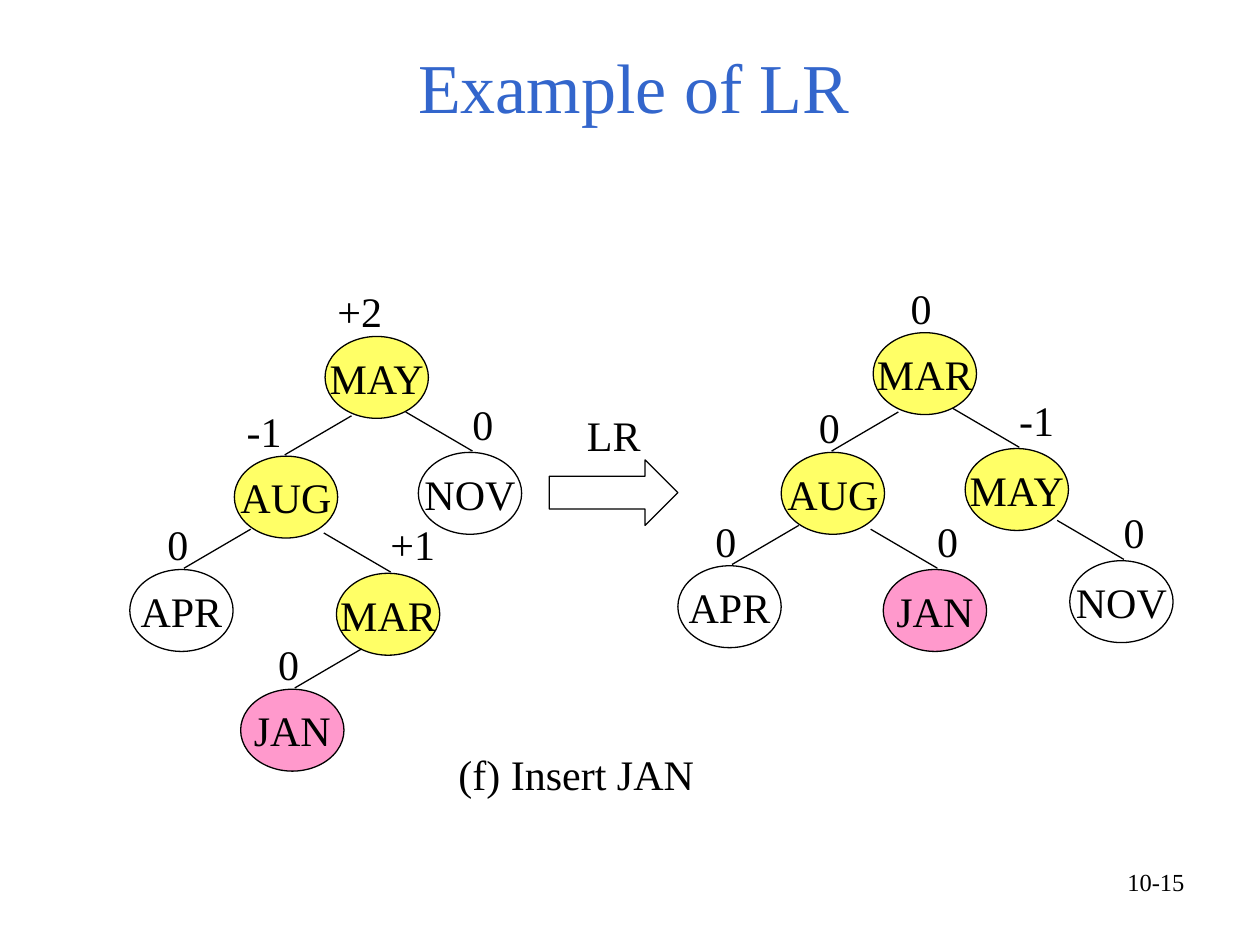
from lxml import etree
from pptx import Presentation
from pptx.dml.color import RGBColor
from pptx.enum.shapes import MSO_CONNECTOR, MSO_SHAPE
from pptx.enum.text import MSO_ANCHOR, PP_ALIGN
from pptx.oxml.ns import qn
from pptx.util import Inches, Pt

STRAIGHT = MSO_CONNECTOR.STRAIGHT
ELLIPSE, RIGHT_ARROW = MSO_SHAPE.OVAL, MSO_SHAPE.RIGHT_ARROW
LEFT, CENTER, RIGHT = PP_ALIGN.LEFT, PP_ALIGN.CENTER, PP_ALIGN.RIGHT
TOP, MIDDLE = MSO_ANCHOR.TOP, MSO_ANCHOR.MIDDLE

FONT = "Times New Roman"
BLACK, BLUE, YELLOW, PINK = "000000", "3366CC", "FFFF66", "FF99CC"
NODE_W, NODE_H = 0.82, 0.65
EDGE_W, EDGE_H = 0.53, 0.31
EDGE_GAP = 0.01
LABEL_H = 0.5

# Each node: name, balance factor, left, top, side of its parent, fill,
# and how far along the node its edge arrives.
TREE_BEFORE = [
    ("MAY", "+2", 1.55, 0.46, "root", YELLOW, 0),
    ("NOV", "0", 2.29, 1.38, "right", None, 0.43),
    ("AUG", "-1", 0.83, 1.41, "left", YELLOW, 0.4),
    ("APR", "0", 0, 2.31, "left", None, 0.43),
    ("MAR", "+1", 1.64, 2.34, "right", YELLOW, 0.43),
    ("JAN", "0", 0.88, 3.26, "left", PINK, 0.43),
]
TREE_AFTER = [
    ("MAR", "0", 1.55, 0.46, "root", YELLOW, 0),
    ("MAY", "-1", 2.28, 1.38, "right", YELLOW, 0.43),
    ("AUG", "0", 0.82, 1.41, "left", YELLOW, 0.4),
    ("APR", "0", 0, 2.31, "left", None, 0.43),
    ("JAN", "0", 1.63, 2.34, "right", PINK, 0.43),
    ("NOV", "0", 3.11, 2.27, "right", None, 0.43),
]


def color(hex_value):
    return RGBColor.from_string(hex_value)


def write(shape, text, size=24, ink=BLACK, align=LEFT, anchor=TOP, wrap=True):
    frame = shape.text_frame
    frame.word_wrap = wrap
    frame.vertical_anchor = anchor
    paragraph = frame.paragraphs[0]
    paragraph.text = text
    paragraph.alignment = align
    for attribute, value in {"name": FONT, "size": Pt(size)}.items():
        setattr(paragraph.font, attribute, value)
    paragraph.font.color.rgb = color(ink)


def add_label(slide, box, text, **text_format):
    write(slide.shapes.add_textbox(*map(Inches, box)), text, **text_format)


def add_outlined(slide, preset, box, fill=None):
    shape = slide.shapes.add_shape(preset, *map(Inches, box))
    shape.shadow.inherit = False
    if fill:
        shape.fill.solid()
        shape.fill.fore_color.rgb = color(fill)
    else:
        shape.fill.background()
    shape.line.color.rgb = color(BLACK)
    shape.line.width = Pt(0.75)
    return shape


def add_edge(slide, x, y, side):
    """Draw the line that arrives at (x, y) from a parent above it."""
    start_x = x - EDGE_W if side == "right" else x + EDGE_W
    ends = (start_x, y - EDGE_H, x, y)
    edge = slide.shapes.add_connector(STRAIGHT, *map(Inches, ends))
    edge.line.color.rgb = color(BLACK)
    edge.line.width = Pt(0.75)
    etree.SubElement(edge._element.spPr, qn("a:effectLst"))


def add_balance(slide, x, y, balance, side):
    """Put the balance factor above the node whose corner is (x, y)."""
    signed = balance != "0"
    if side == "right":
        shift, rise = 0.33, 0.48
    else:
        shift, rise = (0 if signed else 0.2), 0.45
    width = 0.66 if signed else 0.44
    add_label(slide, (x + shift, y - rise, width, LABEL_H), balance)


def add_tree(slide, left, top, nodes):
    for name, balance, dx, dy, side, fill, edge_shift in nodes:
        x, y = left + dx, top + dy
        if side != "root":
            add_edge(slide, x + edge_shift, y - EDGE_GAP, side)
        node = add_outlined(slide, ELLIPSE, (x, y, NODE_W, NODE_H), fill)
        write(node, name, align=CENTER, anchor=MIDDLE, wrap=False)
        add_balance(slide, x, y, balance, side)


def add_rotation_arrow(slide, left, top):
    add_label(slide, (left + 0.2, top, 0.68, LABEL_H), "LR")
    add_outlined(slide, RIGHT_ARROW, (left, top + 0.45, 1.02, 0.52))


def main():
    presentation = Presentation()
    presentation.slide_width = Inches(10)
    presentation.slide_height = Inches(7.5)
    slide = presentation.slides.add_slide(presentation.slide_layouts[6])

    add_label(slide, (0.53, 0.28, 9, 0.79), "Example of LR",
              size=40, ink=BLUE, align=CENTER, anchor=MIDDLE)
    add_tree(slide, 1.03, 2.21, TREE_BEFORE)
    add_rotation_arrow(slide, 4.36, 3.2)
    add_tree(slide, 5.38, 2.18, TREE_AFTER)
    add_label(slide, (3.54, 5.89, 2.89, LABEL_H), "(f) Insert JAN")
    add_label(slide, (7.17, 6.83, 2.33, 0.52), "10-15", size=14, align=RIGHT)

    presentation.save("out.pptx")


if __name__ == "__main__":
    main()
